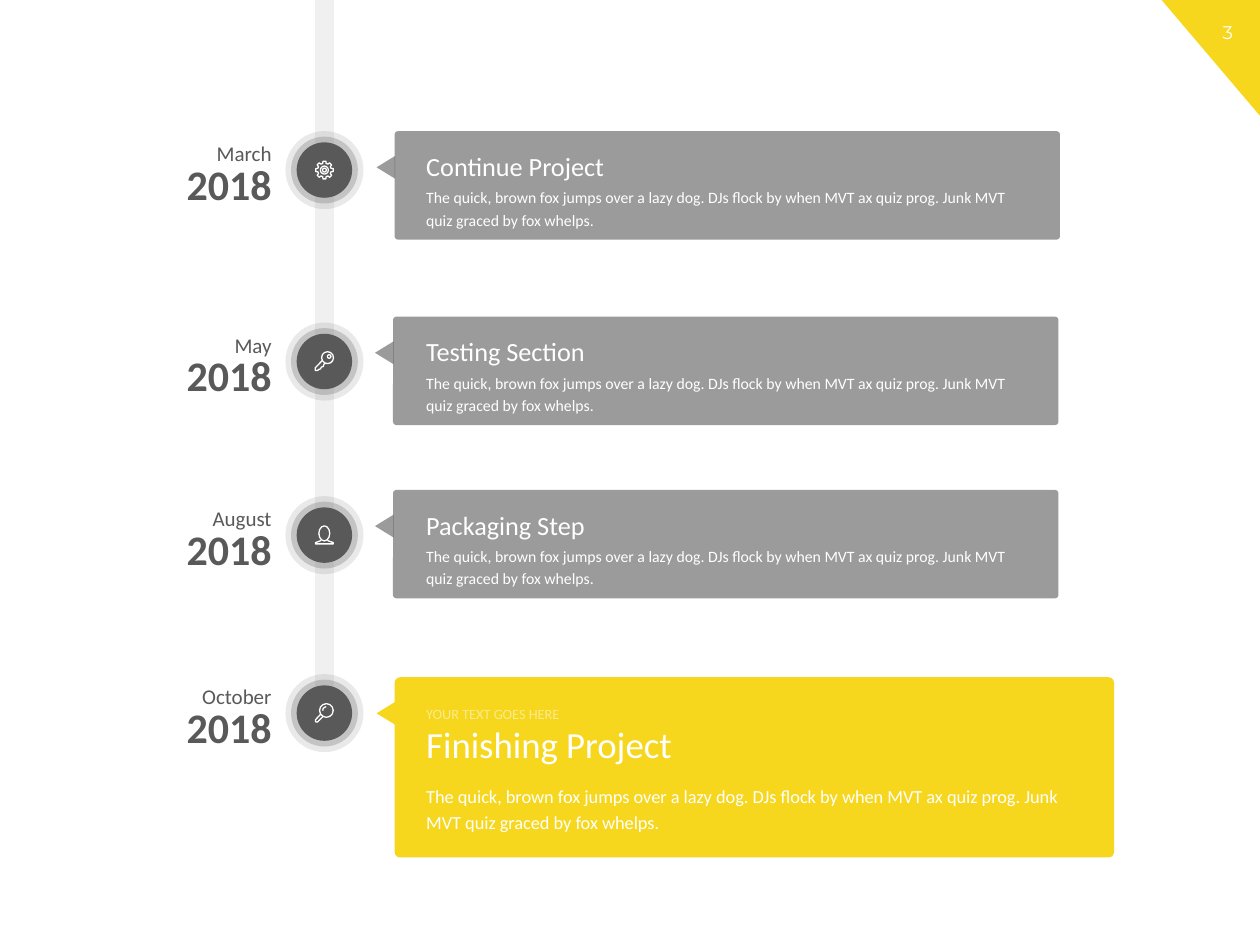
import math
from dataclasses import dataclass

import pptx
import pptx.dml.color
import pptx.enum.shapes
import pptx.enum.text
import pptx.oxml
import pptx.oxml.ns
import pptx.util

Pt = pptx.util.Pt
Kind = pptx.enum.shapes.MSO_SHAPE
Align = pptx.enum.text.PP_ALIGN

HEX = {"gold": "F6D71E", "dark": "595959", "white": "FFFFFF"}
BODY = ("The quick, brown fox jumps over a lazy dog. DJs flock by when "
        "MVT ax quiz prog. Junk MVT quiz graced by fox whelps.")
MID = 185.4  # centre line of the badges


@dataclass
class Icon:
    rings: list  # centre x, centre y, width, height
    lines: list  # open or closed runs of points


@dataclass
class Step:
    month: str
    title: str
    mid: float
    left: float
    top: float
    icon: Icon


@dataclass
class Style:
    fill: str
    alpha: int
    width: float
    height: float
    head: tuple  # offset from card top, box width, box height, text size
    body: tuple


GRAY = Style("dark", 60, 380.2, 61.9, (7.2, 378.7, 25.2, 15),
             (26.6, 350.6, 33.1, 9))
GOLD = Style("gold", 100, 411.1, 103, (21.6, 378.7, 32.4, 21),
             (55.5, 388.8, 38.2, 10.5))

# Icon outlines, relative to the badge centre
teeth = [(r * math.cos(k * math.pi / 4 + a), r * math.sin(k * math.pi / 4 + a))
         for k in range(8)
         for r, a in ((3.9, -0.26), (5.1, -0.16), (5.1, 0.16), (3.9, 0.26))]
GEAR = Icon([(0, 0, 4.6, 4.6), (0, 0, 2.2, 2.2)], [teeth + teeth[:1]])
KEY = Icon([(1.8, -2.2, 6.8, 6.8), (2.7, -2.9, 2, 2)],
           [[(-1.2, -0.6), (-5.3, 3.7), (-5.3, 5.1), (-3.9, 5.1), (-3.2, 4.5),
             (-2.2, 4.2), (-1.8, 3.2), (-0.6, 2.8), (-0.3, 1.6), (0.6, 0.9)]])
USER = Icon([(-0.1, -1, 6.2, 8.6)],
            [[(-2, 2.8), (-2.4, 3.3), (-5.1, 4.3), (-5.1, 5), (5.1, 5),
              (5.1, 4.3), (2.2, 3.3), (1.8, 2.8)]])
LENS = Icon([(1.1, -1.5, 7.8, 7.8)],
            [[(-2.2, 0.7), (-5.1, 3.8), (-5, 5), (-3.9, 5.1), (-0.9, 2)],
             [(-1, -1.4), (-0.7, -2.6), (0, -3.3), (1, -3.6)]])

STEPS = [
    Step("March", "Continue Project", 97.2, 225.5, 75, GEAR),
    Step("May", "Testing Section", 206.6, 224.6, 181, KEY),
    Step("August", "Packaging Step", 305.8, 224.6, 280, USER),
    Step("October", "Finishing Project", 407.5, 225.5, 387, LENS),
]


def tint(fill, name: str, alpha: int = 100) -> None:
    fill.solid()
    fill.fore_color.rgb = pptx.dml.color.RGBColor.from_string(HEX[name])
    if alpha < 100:
        node = fill._xPr.find(".//" + pptx.oxml.ns.qn("a:srgbClr"))
        part = pptx.oxml.parse_xml(
            f'<a:alpha {pptx.oxml.ns.nsdecls("a")} val="{alpha * 1000}"/>')
        node.append(part)


def block(slide, kind, box: tuple, name: str, alpha: int = 100):
    shape = slide.shapes.add_shape(kind, *map(Pt, box))
    shape.shadow.inherit = False
    shape.line.fill.background()
    tint(shape.fill, name, alpha)
    return shape


def write(slide, text: str, box: tuple, size: float, name: str = "white",
          alpha: int = 100, face: str = "Calibri", bold: bool = False,
          align=Align.LEFT, space: float = 1.0) -> None:
    frame = slide.shapes.add_textbox(*map(Pt, box)).text_frame
    frame.word_wrap = True
    para = frame.paragraphs[0]
    para.alignment, para.line_spacing = align, space
    run = para.add_run()
    run.text = text
    form = {"size": Pt(size), "name": face, "bold": bold}
    for key, val in form.items():
        setattr(run.font, key, val)
    tint(run.font.fill, name, alpha)


def trace(shape) -> None:
    shape.shadow.inherit = False
    shape.fill.background()
    tint(shape.line.fill, "white")
    shape.line.width = Pt(0.75)


def sketch(slide, icon: Icon, mid: float) -> None:
    for x, y, w, h in icon.rings:
        trace(slide.shapes.add_shape(
            Kind.OVAL, Pt(MID + x - w / 2), Pt(mid + y - h / 2), Pt(w), Pt(h)))
    for line in icon.lines:
        dots = [(Pt(MID + x), Pt(mid + y)) for x, y in line]
        pen = slide.shapes.build_freeform(*dots[0])
        pen.add_line_segments(dots[1:], close=False)
        trace(pen.convert_to_shape())


def badge(slide, step: Step) -> None:
    for size, alpha in ((44.6, 13), (38.2, 25), (31.7, 100)):
        block(slide, Kind.OVAL, (MID - size / 2, step.mid - size / 2, size, size),
              "dark", alpha)
    sketch(slide, step.icon, step.mid)


def date(slide, step: Step) -> None:
    write(slide, "2018", (68.4, step.mid - 10.2, 93.9, 36), 24, "dark",
          bold=True, align=Align.RIGHT)
    write(slide, step.month, (77, step.mid - 23.2, 85.3, 24.5), 12, "dark",
          align=Align.RIGHT, space=1.2)


def card(slide, step: Step, style: Style) -> None:
    panel = block(slide, Kind.ROUNDED_RECTANGLE,
                  (step.left, step.top, style.width, style.height),
                  style.fill, style.alpha)
    panel.adjustments[0] = 0.03
    tip = block(slide, Kind.ISOSCELES_TRIANGLE,
                (step.left - 11.5, step.top + 15.3, 13, 10.6),
                style.fill, style.alpha)
    tip.rotation = 270
    for text, part, space in ((BODY, style.body, 1.2),
                              (step.title, style.head, 1.0)):
        drop, wide, high, size = part
        write(slide, text, (236.5, step.top + drop, wide, high), size,
              space=space)


def main() -> None:
    deck = pptx.Presentation()
    deck.slide_width, deck.slide_height = Pt(720), Pt(540)
    slide = deck.slides.add_slide(deck.slide_layouts[6])

    # Page corner and number
    nook = block(slide, Kind.RIGHT_TRIANGLE, (663.8, 0, 56.2, 66.2), "gold")
    nook.rotation = 180
    write(slide, "3", (683.3, 8.6, 36.7, 20.2), 10.5, face="Montserrat",
          align=Align.CENTER)

    # Timeline
    block(slide, Kind.RECTANGLE, (180, 0, 10.8, 410.4), "dark", 9)
    for step in STEPS:
        date(slide, step)
        card(slide, step, GOLD if step is STEPS[-1] else GRAY)
        badge(slide, step)

    # Label above the last title
    write(slide, "YOUR TEXT GOES HERE", (236.5, 397.4, 388.8, 19.4), 8.2,
          alpha=50, space=1.2)
    deck.save("out.pptx")


if __name__ == "__main__":
    main()
